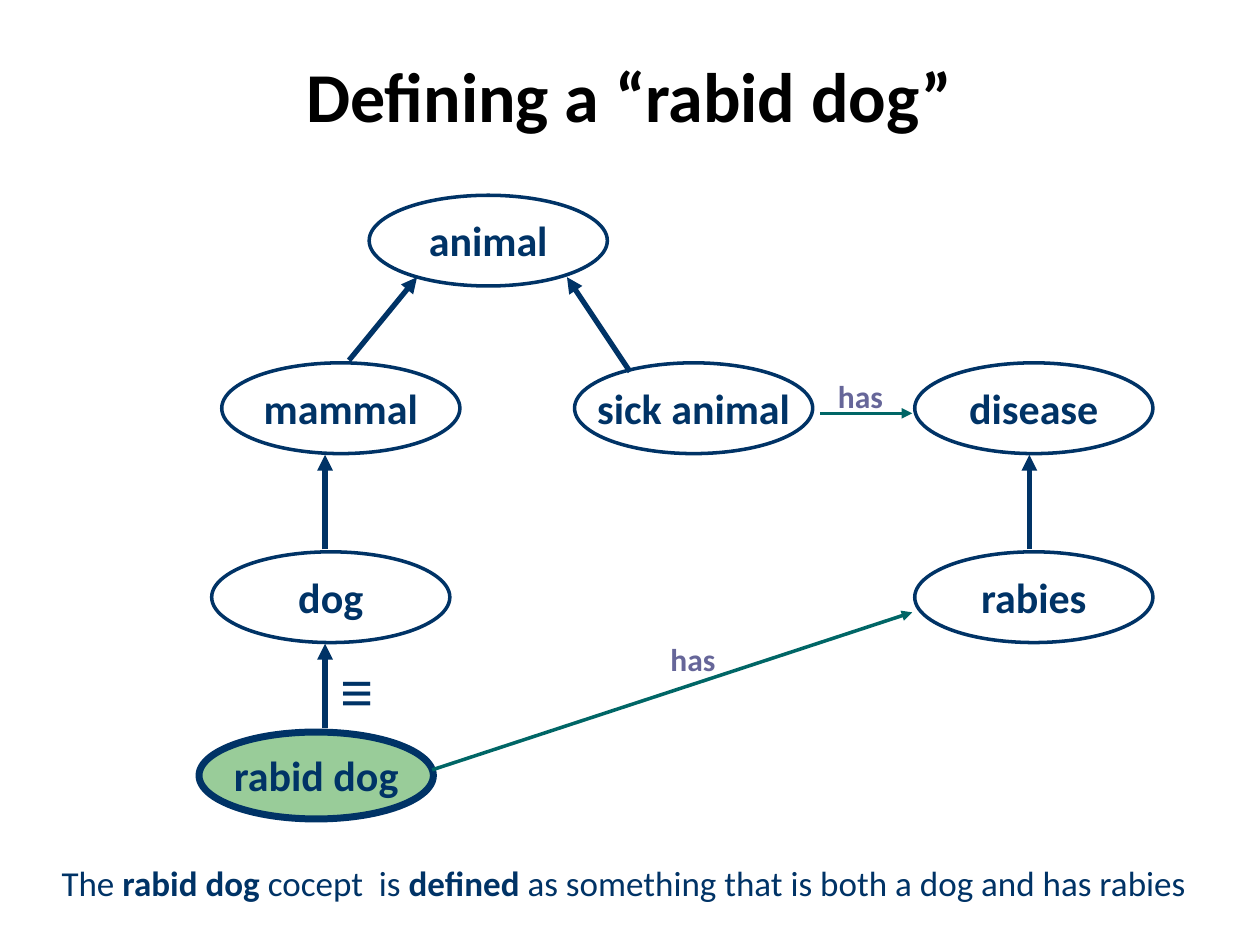
from dataclasses import dataclass

from lxml.etree import SubElement
from pptx import Presentation
from pptx.dml.color import RGBColor
from pptx.enum.shapes import MSO_CONNECTOR, MSO_SHAPE
from pptx.enum.text import MSO_ANCHOR, PP_ALIGN
from pptx.oxml.ns import qn
from pptx.util import Inches, Pt


@dataclass(frozen=True)
class Theme:
    """Colours, fonts and type sizes of the slide."""
    black: str = "000000"
    navy: str = "003366"
    teal: str = "006666"
    violet: str = "666699"
    green: str = "99CC99"
    white: str = "FFFFFF"
    font: str = "Calibri"
    symbol_font: str = "Arial"
    title: int = 40
    symbol: int = 32
    concept: int = 24
    caption: int = 20
    relation: int = 18


THEME = Theme()


def color(value):
    """Return the colour for a hexadecimal string."""
    return RGBColor.from_string(value)


def add_text(shapes, box, runs, size, ink=THEME.navy, font=THEME.font,
             align=PP_ALIGN.CENTER, anchor=MSO_ANCHOR.TOP, wrap=True, line_spacing=None):
    """Add a text box holding one paragraph of (text, bold) runs."""
    shape = shapes.add_textbox(*map(Inches, box))
    frame = shape.text_frame
    frame.word_wrap = wrap
    frame.vertical_anchor = anchor
    paragraph = frame.paragraphs[0]
    paragraph.alignment = align
    if line_spacing:
        paragraph.line_spacing = line_spacing
    for text, bold in runs:
        run = paragraph.add_run()
        run.text = text
        run.font.name = font
        run.font.size = Pt(size)
        run.font.bold = bold
        run.font.color.rgb = color(ink)
    return shape


def add_concept(slide, box, name, label_width, fill=THEME.white, weight=2):
    """Add a group of an ellipse and its centred name."""
    left, top, width, height = box
    label_height = 0.51
    group = slide.shapes.add_group_shape()
    ellipse = group.shapes.add_shape(MSO_SHAPE.OVAL, *map(Inches, box))
    ellipse.shadow.inherit = False
    ellipse.fill.solid()
    ellipse.fill.fore_color.rgb = color(fill)
    ellipse.line.color.rgb = color(THEME.navy)
    ellipse.line.width = Pt(weight)
    label_box = (left + (width - label_width) / 2, top + (height - label_height) / 2,
                 label_width, label_height)
    add_text(group.shapes, label_box, [(name, True)], THEME.concept)


def add_arrow(slide, start, end, ink=THEME.navy, weight=3):
    """Add a straight arrow from start to end."""
    arrow = slide.shapes.add_connector(MSO_CONNECTOR.STRAIGHT, *map(Inches, start + end))
    arrow.line.color.rgb = color(ink)
    arrow.line.width = Pt(weight)
    SubElement(arrow.line._get_or_add_ln(), qn("a:tailEnd"), type="triangle")
    SubElement(arrow._element.spPr, qn("a:effectLst"))


def add_relation(slide, start, end, label_at):
    """Add a labelled "has" arrow."""
    add_arrow(slide, start, end, THEME.teal, 2)
    add_text(slide.shapes, label_at + (0.84, 0.41), [("has", True)],
             THEME.relation, THEME.violet)


def add_title(slide, box):
    """Add the slide title."""
    add_text(slide.shapes, box, [("Defining a “rabid dog”", True)], THEME.title,
             THEME.black, anchor=MSO_ANCHOR.BOTTOM, line_spacing=0.9)


def add_diagram(slide, box):
    """Add the concept hierarchy and its relations inside the box."""
    left, top, width, height = box

    def at(x, y):
        return left + x, top + y

    ellipse_size = (1.89, 0.72)
    upper, middle, lower = 0, 1.33, 2.83
    concepts = [("animal", 1.35, upper, 1.34), ("mammal", 0.18, middle, 1.8),
                ("dog", 0.1, lower, 1.34), ("sick animal", 2.98, middle, 2.05),
                ("rabies", 5.68, lower, 1.34), ("disease", 5.68, middle, 1.47)]
    for name, x, y, label_width in concepts:
        add_concept(slide, at(x, y) + ellipse_size, name, label_width)
    add_concept(slide, at(0, height - 0.69) + (1.86, 0.69), "rabid dog", 1.78, THEME.green, 4)

    parents = [((1.19, 1.31), (1.73, 0.65)), ((3.42, 1.4), (2.92, 0.65)),
               ((1, 2.81), (1, 2.06)), ((6.59, 2.81), (6.59, 2.06)),
               ((1, 4.23), (1, 3.56))]
    for start, end in parents:
        add_arrow(slide, at(*start), at(*end))

    add_relation(slide, at(4.93, 1.73), at(5.66, 1.73), at(4.83, 1.39))
    add_relation(slide, at(1.85, 4.56), at(5.66, 3.31), at(3.5, 3.48))
    add_text(slide.shapes, at(0.9, 3.61) + (0.59, 0.64), [("\u00a0≡", True)], THEME.symbol,
             font=THEME.symbol_font, align=PP_ALIGN.LEFT, wrap=False)


def add_caption(slide, box):
    """Add the sentence that states the definition."""
    runs = [("The ", False), ("rabid dog ", True), ("cocept  is ", False), ("defined", True),
            (" as something that is both a dog and has rabies", False)]
    add_text(slide.shapes, box, runs, THEME.caption, align=PP_ALIGN.LEFT)


def main():
    """Build and save the presentation."""
    presentation = Presentation()
    presentation.slide_width = Inches(10)
    presentation.slide_height = Inches(7.5)
    slide = presentation.slides.add_slide(presentation.slide_layouts[6])
    add_title(slide, (0.35, 0.28, 9.29, 0.86))
    add_diagram(slide, (1.58, 1.55, 7.57, 4.95))
    add_caption(slide, (0.39, 6.79, 9.37, 0.44))
    presentation.save("out.pptx")


main()
